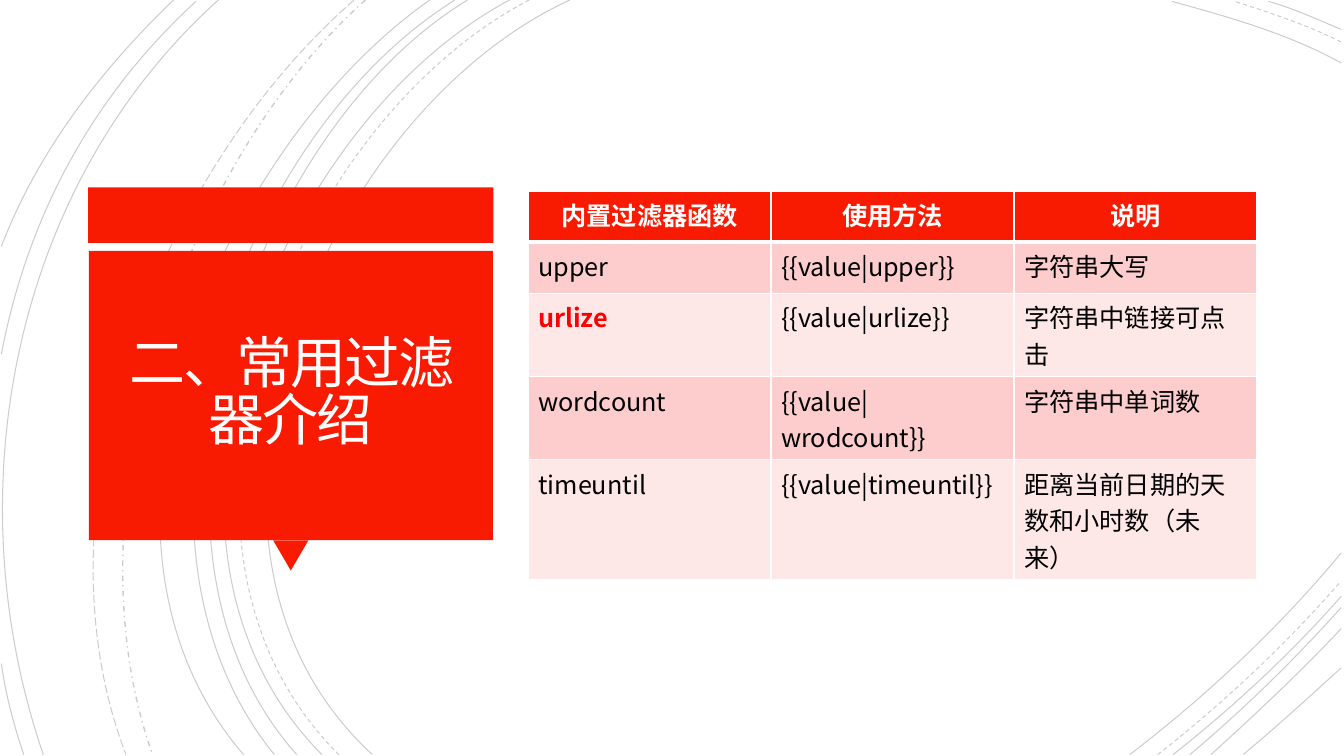
from lxml import etree
from pptx import Presentation
from pptx import util as u
from pptx.dml.color import RGBColor
from pptx.enum import dml, shapes, text
from pptx.oxml import ns

RED = RGBColor(0xF8, 0x1B, 0x02)
URL_RED = RGBColor(0xFF, 0x00, 0x00)
PINK = RGBColor(0xFC, 0xCD, 0xCC)
PALE = RGBColor(0xFE, 0xE8, 0xE7)
WHITE = RGBColor(0xFF, 0xFF, 0xFF)
TITLE_WHITE = RGBColor(0xFF, 0xFE, 0xFF)
BLACK = RGBColor(0x00, 0x00, 0x00)
FONT = "Noto Sans CJK SC"
Pt = u.Pt

# Content
TITLE = "二、常用过滤器介绍"
ROWS = [
    ("内置过滤器函数", "使用方法", "说明"),
    ("upper", "{{value|upper}}", "字符串大写"),
    ("urlize", "{{value|urlize}}", "字符串中链接可点击"),
    ("wordcount", "{{value|wrodcount}}", "字符串中单词数"),
    ("timeuntil", "{{value|timeuntil}}", "距离当前日期的天数和小时数（未来）"),
]
HIGHLIGHT = "urlize"

# Background arcs: start, two control points, end (points), grouped by dash
SOLID, DASH = dml.MSO_LINE.SOLID, dml.MSO_LINE.DASH
DASH_DOT, LONG_DASH = dml.MSO_LINE.DASH_DOT, dml.MSO_LINE.LONG_DASH
ARCS = {
    (SOLID, 0.75): [
        # Left sweep
        [(407, 0), (227, 83), (103, 389), (266, 539)],
        [(364, 0), (194, 91), (79, 387), (230, 539)],
        [(334, 0), (176, 96), (79, 390), (212, 539)],
        [(325, 0), (166, 99), (70, 384), (196, 539)],
        [(307, 0), (156, 106), (38, 381), (174, 539)],
        [(156, 0), (8, 133), (-33, 353), (31, 539)],
        [(140, 1), (66, 69), (20, 154), (1, 253)],
        [(1, 474), (4, 496), (10, 518), (17, 539)],
        [(124, 0), (72, 50), (27, 108), (1, 176)],
        # Top right corner
        [(958, 45), (920, 24), (877, 12), (837, 1)],
        [(958, 21), (941, 14), (924, 6), (906, 1)],
        # Bottom right corner
        [(807, 539), (862, 497), (914, 448), (958, 395)],
        [(838, 539), (881, 505), (922, 467), (958, 426)],
        [(850, 539), (888, 507), (924, 472), (958, 434)],
        [(865, 539), (897, 510), (929, 480), (958, 449)],
        [(888, 539), (912, 519), (935, 498), (958, 477)],
    ],
    (DASH, 0.75): [
        [(378, 0), (205, 90), (89, 387), (242, 539)],
        [(958, 30), (934, 18), (907, 9), (882, 1)],
        [(827, 539), (873, 503), (918, 461), (958, 415)],
    ],
    (DASH_DOT, 1): [[(261, 0), (127, 120), (47, 366), (109, 539)]],
    (LONG_DASH, 0.75): [[(253, 0), (113, 122), (21, 359), (90, 539)]],
}

# Title panel: preset, left, top, width, height, rotation
PANEL = [
    (shapes.MSO_SHAPE.RECTANGLE, 63, 133.9, 289.4, 39.6, 0),
    (shapes.MSO_SHAPE.ISOSCELES_TRIANGLE, 195.1, 385.9, 25.2, 21.6, 180),
    (shapes.MSO_SHAPE.RECTANGLE, 63.4, 179.3, 288.7, 206.6, 0),
]
TITLE_BOX = (69.8, 185, 275.8, 193.7)
TABLE_LEFT, TABLE_TOP, COLUMN_WIDTH, ROW_HEIGHT = 377.3, 136.4, 173.5, 36.7


def write(frame, content, size, color, bold=False, align=None, spacing=None, tracking=None):
    frame.word_wrap = True
    paragraph = frame.paragraphs[0]
    paragraph.alignment = align
    paragraph.line_spacing = spacing
    run = paragraph.add_run()
    run.text = content
    run.font.name, run.font.size, run.font.bold = FONT, Pt(size), bold
    run.font.color.rgb = color
    properties = run.font._element
    etree.SubElement(properties, ns.qn("a:ea"), typeface=FONT)
    if tracking is not None:
        properties.set("spc", str(int(tracking * 100)))


def draw_arc(slide, points, dash, width):
    builder = slide.shapes.build_freeform(*points[0], scale=Pt(1))
    builder.add_line_segments(points[1:], close=False)
    arc = builder.convert_to_shape()
    arc.shadow.inherit = False
    arc.fill.background()
    arc.line.color.rgb = BLACK
    arc.line.width = Pt(width)
    arc.line.dash_style = dash
    color = arc._element.find(".//" + ns.qn("a:ln")).find(".//" + ns.qn("a:srgbClr"))
    etree.SubElement(color, ns.qn("a:alpha"), val="20000")
    # Turn the three segments into one cubic curve
    outline = arc._element.find(".//" + ns.qn("a:path"))
    curve = etree.SubElement(outline, ns.qn("a:cubicBezTo"))
    for segment in outline.findall(ns.qn("a:lnTo")):
        curve.append(segment[0])
        outline.remove(segment)


def set_border(cell, side, width):
    line = etree.SubElement(cell._tc.get_or_add_tcPr(), ns.qn("a:" + side), w=str(Pt(width)))
    fill = etree.SubElement(line, ns.qn("a:solidFill"))
    etree.SubElement(fill, ns.qn("a:srgbClr"), val=str(WHITE))


presentation = Presentation()
presentation.slide_width, presentation.slide_height = Pt(960), Pt(540)
slide = presentation.slides.add_slide(presentation.slide_layouts[5])

# Background arcs
for (dash, width), arcs in ARCS.items():
    for points in arcs:
        draw_arc(slide, points, dash, width)

# Title panel
for preset, left, top, width, height, rotation in PANEL:
    shape = slide.shapes.add_shape(preset, Pt(left), Pt(top), Pt(width), Pt(height))
    shape.rotation = rotation
    shape.shadow.inherit = False
    shape.fill.solid()
    shape.fill.fore_color.rgb = RED
    shape.line.fill.background()

# Title, brought in front of the panel
title = slide.shapes.title
slide.shapes._spTree.append(title._element)
title.left, title.top, title.width, title.height = map(Pt, TITLE_BOX)
frame = title.text_frame
frame.auto_size = text.MSO_AUTO_SIZE.NONE
frame.vertical_anchor = text.MSO_ANCHOR.MIDDLE
frame.margin_left = frame.margin_right = frame.margin_top = frame.margin_bottom = Pt(18)
write(frame, TITLE, 40, TITLE_WHITE, align=text.PP_ALIGN.CENTER, spacing=0.85, tracking=-1.5)

# Filter table
table = slide.shapes.add_table(
    len(ROWS), len(ROWS[0]), Pt(TABLE_LEFT), Pt(TABLE_TOP),
    Pt(COLUMN_WIDTH * len(ROWS[0])), Pt(ROW_HEIGHT * len(ROWS))).table
for column in table.columns:
    column.width = Pt(COLUMN_WIDTH)
for r, values in enumerate(ROWS):
    table.rows[r].height = Pt(ROW_HEIGHT)
    header = r == 0
    for c, value in enumerate(values):
        cell = table.cell(r, c)
        borders = {"lnL": 1, "lnR": 1, "lnT": 3 if r == 1 else 1, "lnB": 3 if header else 1}
        for side, width in borders.items():
            set_border(cell, side, width)
        cell.fill.solid()
        cell.fill.fore_color.rgb = RED if header else (PALE, PINK)[r % 2]
        marked = value == HIGHLIGHT
        write(cell.text_frame, value, 18,
              WHITE if header else URL_RED if marked else BLACK,
              bold=header or marked,
              align=text.PP_ALIGN.CENTER if header else text.PP_ALIGN.LEFT)

presentation.save("out.pptx")
